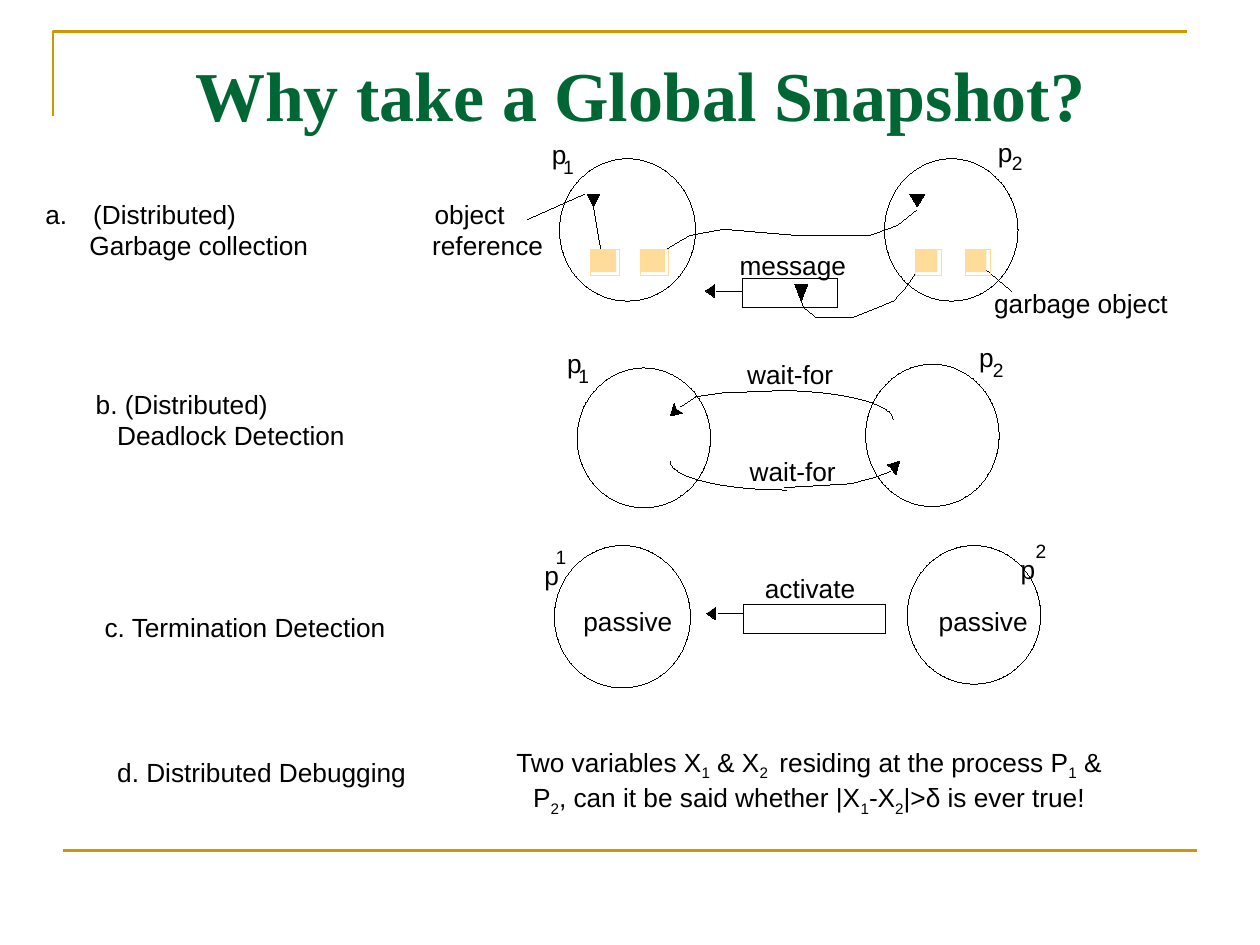
"""Build a slide on four reasons for taking a global snapshot."""
import math

import lxml.etree
import pptx
import pptx.dml.color
import pptx.enum.shapes
import pptx.enum.text
import pptx.oxml.ns
import pptx.util

BLACK, GOLD, GREEN, SAND = "000000", "CC9900", "006633", "FFDC99"
HAIRLINE = 0.01
LABEL = {"name": "Arial", "size": pptx.util.Pt(15), "bold": False}
SMALL = {**LABEL, "size": pptx.util.Pt(11)}
TITLE = {"name": "Times New Roman", "size": pptx.util.Pt(40), "bold": True}
SHAPES = pptx.enum.shapes.MSO_SHAPE
ALIGN = pptx.enum.text.PP_ALIGN


def colour(value):
    """Turn a hex string into a colour."""
    return pptx.dml.color.RGBColor.from_string(value)


def inches(*values):
    """Turn numbers into lengths."""
    return [pptx.util.Inches(value) for value in values]


def apply(target, values):
    """Set the attributes of an object from a dict."""
    for name, value in values.items():
        setattr(target, name, value)


def write(para, text, font=LABEL, ink=BLACK):
    """Fill a paragraph; parts between tildes become subscripts."""
    for index, part in enumerate(text.split("~")):
        if part:
            span = para.add_run()
            span.text = part
            apply(span.font, font)
            span.font.color.rgb = colour(ink)
            if index % 2:
                span.font._element.set("baseline", "-25000")


def add_title(page, text):
    """Place the title in its placeholder."""
    box = page.shapes.title
    apply(box, dict(zip(("left", "top", "width", "height"), inches(0.58, 0.33, 9, 0.83))))
    frame = box.text_frame
    apply(frame, {"auto_size": pptx.enum.text.MSO_AUTO_SIZE.NONE,
                  "vertical_anchor": pptx.enum.text.MSO_ANCHOR.MIDDLE})
    para = frame.paragraphs[0]
    para.alignment = ALIGN.CENTER
    write(para, text, TITLE, GREEN)


def add_text(page, at, lines, font=LABEL, align=ALIGN.LEFT, wrap=False, right=0):
    """Add a text box with one paragraph per line and return its paragraphs."""
    frame = page.shapes.add_textbox(*inches(*at)).text_frame
    apply(frame, {"margin_left": 0, "margin_top": 0, "margin_bottom": 0,
                  "margin_right": pptx.util.Inches(right), "word_wrap": wrap,
                  "auto_size": pptx.enum.text.MSO_AUTO_SIZE.SHAPE_TO_FIT_TEXT})
    for index, line in enumerate(lines):
        para = frame.add_paragraph() if index else frame.paragraphs[0]
        para.alignment = align
        write(para, line, font)
    return frame.paragraphs


def indent(para, left, first=0, numbering=None):
    """Set the indents of a paragraph and, if given, its numbering."""
    props = para._p.get_or_add_pPr()
    for name, value in (("marL", left), ("indent", first)):
        props.set(name, str(pptx.util.Inches(value)))
    if numbering:
        number = lxml.etree.SubElement(props, pptx.oxml.ns.qn("a:buAutoNum"))
        number.set("type", numbering)


def paint(shape, fill=None, line=None, width=HAIRLINE):
    """Set the fill and outline of a shape and drop its shadow."""
    shape.shadow.inherit = False
    if fill:
        shape.fill.solid()
        shape.fill.fore_color.rgb = colour(fill)
    else:
        shape.fill.background()
    if line:
        shape.line.color.rgb = colour(line)
        shape.line.width = pptx.util.Pt(width)
    else:
        shape.line.fill.background()


def add_preset(page, kind, at, fill=None, line=None):
    """Add a preset shape."""
    paint(page.shapes.add_shape(kind, *inches(*at)), fill, line)


def add_outline(page, points, fill=None, line=BLACK, width=HAIRLINE):
    """Add a freeform, closed when it has a fill."""
    start, *rest = [tuple(inches(*point)) for point in points]
    builder = page.shapes.build_freeform(*start)
    builder.add_line_segments(rest, close=bool(fill))
    paint(builder.convert_to_shape(), fill, line, width)


def add_line(page, start, end, ink=BLACK, width=HAIRLINE):
    """Add a straight line without a shadow."""
    straight = pptx.enum.shapes.MSO_CONNECTOR.STRAIGHT
    line = page.shapes.add_connector(straight, *inches(*start, *end))
    line.line.color.rgb = colour(ink)
    line.line.width = pptx.util.Pt(width)
    lxml.etree.SubElement(line._element.spPr, pptx.oxml.ns.qn("a:effectLst"))


def add_quarter(page, centre, radii, start):
    """Add a quarter of an ellipse that begins at an angle in degrees."""
    angles = [math.radians(start + step) for step in range(0, 91, 5)]
    add_outline(page, [(centre[0] + radii[0] * math.cos(angle),
                        centre[1] + radii[1] * math.sin(angle)) for angle in angles])


def add_process(page, circle, letter, digit, name):
    """Add a process circle with its letter and its index."""
    add_preset(page, SHAPES.OVAL, circle, line=BLACK)
    add_text(page, (*letter, 0.12, 0.25), ["p"])
    add_text(page, (*digit, 0.09, 0.18), [name], SMALL)


def add_pointer(page, left, top, width, height):
    """Add a black triangle that points down."""
    add_outline(page, [(left, top), (left + width / 2, top + height), (left + width, top)], BLACK)


def add_message(page, box, tip):
    """Add a message box with an arrow to its left."""
    x, y = tip
    add_preset(page, SHAPES.RECTANGLE, box, line=BLACK)
    add_outline(page, [(x, y), (x + 0.07, y - 0.05), (x + 0.07, y + 0.05)], BLACK)
    add_line(page, (x + 0.09, y), (box[0], y))


def add_object(page, left, width):
    """Add a sand square with an outline that is a little larger."""
    add_preset(page, SHAPES.RECTANGLE, (left, 1.98, width, 0.18), fill=SAND)
    add_preset(page, SHAPES.RECTANGLE, (left, 1.98, width + 0.03, 0.21), line=SAND)


def draw_garbage(page):
    """Draw the row on garbage collection."""
    add_process(page, (4.44, 1.26, 1.08, 1.13), (4.38, 1.1), (4.47, 1.23), "1")
    add_process(page, (7.02, 1.26, 1.06, 1.13), (7.92, 1.08), (8.03, 1.2), "2")
    add_message(page, (5.89, 2.21, 0.76, 0.23), (5.6, 2.31))
    for pointer in ((4.66, 1.54, 0.1, 0.1), (7.22, 1.54, 0.12, 0.1), (6.31, 2.26, 0.1, 0.13)):
        add_pointer(page, *pointer)
    add_outline(page, [(7.27, 1.67), (7.12, 1.79), (6.9, 1.87), (6.33, 1.87),
                       (5.74, 1.82), (5.47, 1.87), (5.25, 2)])
    add_outline(page, [(6.33, 2.31), (6.38, 2.44), (6.48, 2.52), (6.77, 2.52),
                       (7.09, 2.39), (7.19, 2.28), (7.27, 2.16)])
    for start, end in (((4.71, 1.64), (4.78, 2.05)), ((8.03, 2.31), (7.78, 2.1)),
                       ((4.64, 1.54), (4.19, 1.74))):
        add_line(page, start, end)
    for left, width in ((4.69, 0.2), (5.08, 0.2), (7.27, 0.17), (7.66, 0.17)):
        add_object(page, left, width)
    first, second = add_text(page, (0.36, 1.57, 2.84, 0.5), ["(Distributed)", "Garbage collection"])
    indent(first, 0.38, -0.38, "alphaLcPeriod")
    indent(second, 0.35)


def draw_deadlock(page):
    """Draw the row on deadlock detection."""
    add_process(page, (4.58, 2.92, 1.06, 1.11), (4.5, 2.76), (4.59, 2.89), "1")
    add_process(page, (6.87, 2.89, 1.06, 1.13), (7.77, 2.71), (7.88, 2.84), "2")
    add_outline(page, [(7.07, 3.71), (7.04, 3.69), (7.14, 3.66), (7.11, 3.77)], BLACK)
    add_outline(page, [(5.37, 3.25), (5.42, 3.28), (5.32, 3.3), (5.35, 3.2)], BLACK)
    add_outline(page, [(7.07, 3.74), (6.94, 3.79), (6.75, 3.84), (6.23, 3.87)])
    add_outline(page, [(5.4, 3.23), (5.52, 3.15), (5.72, 3.12), (6.21, 3.1)])
    add_quarter(page, (6.24, 3.66), (0.92, 0.23), 90)
    add_quarter(page, (6.16, 3.33), (0.93, 0.23), 270)
    lines = add_text(page, (0.76, 3.08, 1.98, 0.5), ["b. (Distributed)", "Deadlock Detection"])
    indent(lines[1], 0.17)


def draw_termination(page):
    """Draw the row on termination detection."""
    add_process(page, (4.4, 4.33, 1.08, 1.13), (4.32, 4.44), (4.41, 4.33), "1")
    add_process(page, (7.2, 4.33, 1.06, 1.1), (8.1, 4.39), (8.22, 4.28), "2")
    add_message(page, (5.9, 4.8, 1.13, 0.23), (5.61, 4.87))


def main():
    """Build and save the deck."""
    deck = pptx.Presentation()
    apply(deck, dict(zip(("slide_width", "slide_height"), inches(10, 7.5))))
    page = deck.slides.add_slide(deck.slide_layouts[5])
    add_outline(page, [(0.42, 0.92), (0.42, 0.25), (9.42, 0.25)], line=GOLD, width=1.5)
    add_line(page, (0.5, 6.75), (9.5, 6.75), GOLD, 1.5)
    add_title(page, "Why take a Global Snapshot?")
    for draw in (draw_garbage, draw_deadlock, draw_termination):
        draw(page)
    for left, top, width, text in (
            (3.45, 1.57, 0.56, "object"), (3.43, 1.82, 0.88, "reference"),
            (5.87, 1.98, 0.85, "message"), (7.89, 2.28, 1.38, "garbage object"),
            (5.93, 2.84, 0.72, "wait-for"), (5.95, 3.61, 0.72, "wait-for"),
            (6.07, 4.54, 0.72, "activate"), (4.63, 4.8, 0.71, "passive"),
            (7.45, 4.8, 0.71, "passive"), (0.83, 4.85, 2.32, "c. Termination Detection"),
            (0.93, 6, 2.35, "d. Distributed Debugging")):
        add_text(page, (left, top, width, 0.25), [text])
    add_text(page, (3.92, 5.92, 5.08, 0.57),
             ["Two variables X~1~ & X~2 ~ residing at the process P~1~ &",
              "P~2~, can it be said whether |X~1~-X~2~|>δ is ever true!"],
             align=ALIGN.CENTER, wrap=True, right=0.08)
    deck.save("out.pptx")


if __name__ == "__main__":
    main()
